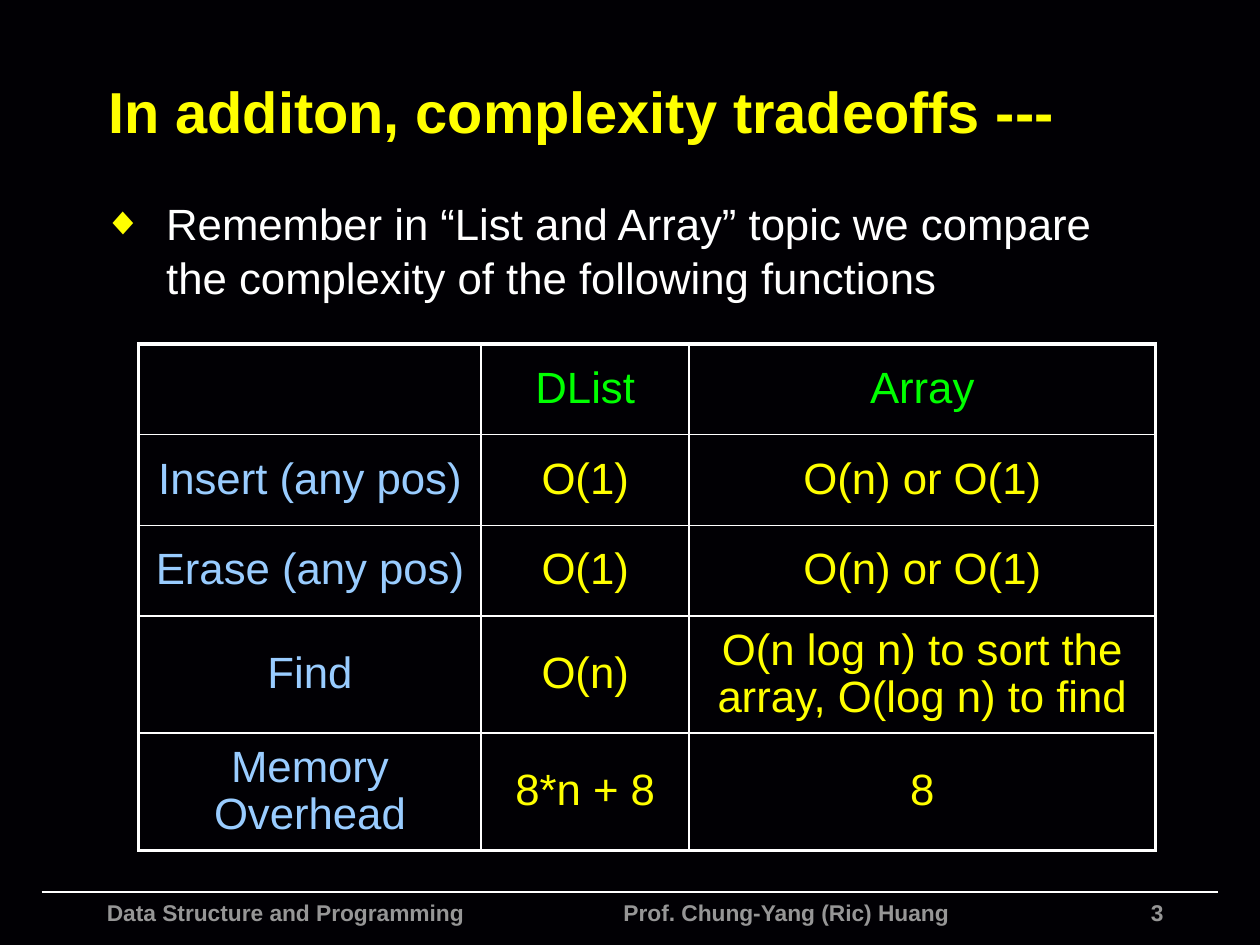
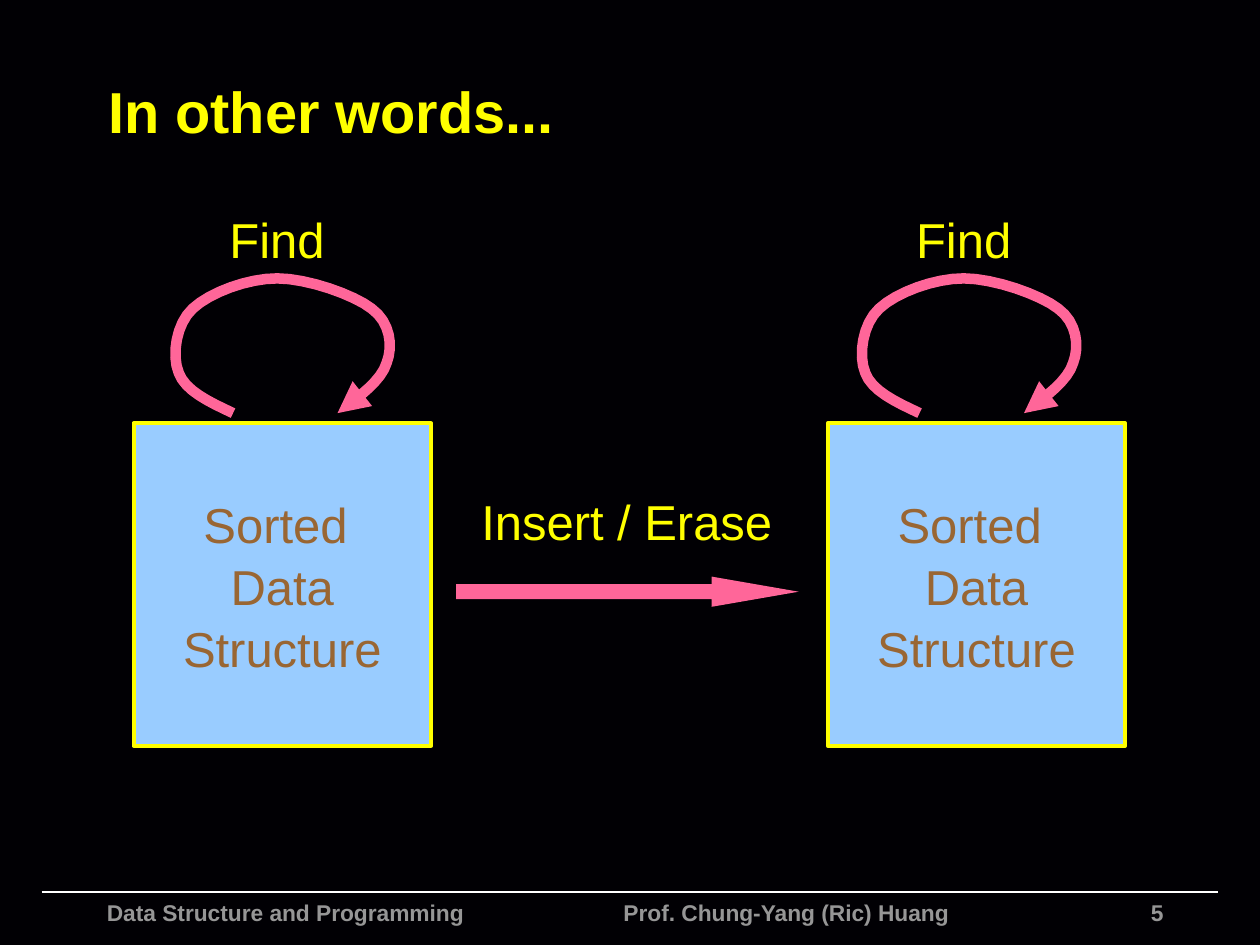
from dataclasses import dataclass
from typing import NamedTuple

from lxml.etree import SubElement
from pptx import Presentation
from pptx.dml.color import RGBColor
from pptx.enum.shapes import MSO_CONNECTOR as Connector, MSO_SHAPE as Preset
from pptx.enum.text import MSO_ANCHOR as Anchor, MSO_AUTO_SIZE as AutoSize, PP_ALIGN as Align
from pptx.oxml.ns import qn
from pptx.util import Pt


@dataclass(frozen=True)
class Theme:
    font: str = "Arial"
    background: str = "010004"
    white: str = "FFFFFF"
    yellow: str = "FFFF00"
    green: str = "00FF00"
    sky: str = "99CCFF"
    brown: str = "996633"
    pink: str = "FF6699"
    gray: str = "969696"
    title_size: float = 33
    diagram_size: float = 28
    body_size: float = 25
    footer_size: float = 13
    thin: float = 1
    thick: float = 2.25
    loop_width: float = 6


class Box(NamedTuple):
    left: float
    top: float
    width: float
    height: float

    def in_points(self) -> list:
        return [Pt(length) for length in self]


class FooterPart(NamedTuple):
    text: str
    box: Box
    align: Align


class State(NamedTuple):
    square: Box
    loop_left: float
    find_label: Box


THEME = Theme()
TITLE_BOX = Box(54.7, 26.6, 636.5, 72.7)
BODY_BOX = Box(51.8, 108, 612, 372.2)
FOOTER_TOP = 509.8
RULE_LEFT, RULE_RIGHT = 23.8, 696.2

TABLE_BOX = Box(79.2, 196.6, 581, 288.7)
COLUMN_WIDTHS = (195.8, 118.8, 266.4)
ROW_HEIGHTS = (51.8, 51.8, 51.8, 67, 67)
COMPLEXITIES = (
    ("", "DList", "Array"),
    ("Insert (any pos)", "O(1)", "O(n) or O(1)"),
    ("Erase (any pos)", "O(1)", "O(n) or O(1)"),
    ("Find", "O(n)", "O(n log n) to sort the array, O(log n) to find"),
    ("Memory Overhead", "8*n + 8", "8"),
)

LOOP_TOP = 159.1
LOOP_START = (35.3, 77)
LOOP_CURVES = (
    ((21.6, 70.6), (7.9, 64.1), (4.3, 54)),
    ((0, 43.9), (2.9, 25.9), (12.2, 17.3)),
    ((22.3, 7.9), (43.9, 0), (60.5, 0)),
    ((77.8, 0), (104.4, 9.4), (114.5, 17.3)),
    ((125.3, 25.2), (126.7, 38.9), (123.1, 48.2)),
    ((120.2, 58.3), (107.3, 67.7), (95, 77)),
)
CURVE_STEPS = 8
STATES = tuple(
    State(Box(square_left, 241.9, 170, 184.3), loop_left, Box(loop_left + 29.5, 114.5, 61.9, 41))
    for square_left, loop_left in ((76.3, 97.9), (473, 490.2))
)


def rgb(color: str) -> RGBColor:
    return RGBColor.from_string(color)


def write_text(frame, *lines: str, size: float, color: str, bold: bool = False,
               align: Align = Align.LEFT, anchor: Anchor = Anchor.TOP,
               inset: tuple = (7.2, 3.6), wrap: bool = True, spacing: float = 1) -> None:
    frame.word_wrap = wrap
    frame.auto_size = AutoSize.NONE
    frame.vertical_anchor = anchor
    frame.margin_left = frame.margin_right = Pt(inset[0])
    frame.margin_top = frame.margin_bottom = Pt(inset[1])
    for index, line in enumerate(lines):
        paragraph = frame.add_paragraph() if index else frame.paragraphs[0]
        paragraph.alignment = align
        paragraph.line_spacing = spacing
        paragraph.space_before = Pt(0)
        run = paragraph.add_run()
        run.text = line
        run.font.name = THEME.font
        run.font.size = Pt(size)
        run.font.bold = bold
        run.font.color.rgb = rgb(color)


def place(shape, box: Box) -> None:
    shape.left, shape.top, shape.width, shape.height = box.in_points()


def add_label(slide, box: Box, text: str, **text_format) -> None:
    label = slide.shapes.add_textbox(*box.in_points())
    write_text(label.text_frame, text, **text_format)


def add_footer(slide, number: int) -> None:
    rule = slide.shapes.add_connector(
        Connector.STRAIGHT, Pt(RULE_LEFT), Pt(FOOTER_TOP), Pt(RULE_RIGHT), Pt(FOOTER_TOP))
    rule.line.color.rgb = rgb(THEME.white)
    rule.line.width = Pt(THEME.thin)
    SubElement(rule._element.spPr, qn("a:effectLst"))
    parts = (
        FooterPart("Data Structure and Programming", Box(54, FOOTER_TOP, 260, 25), Align.LEFT),
        FooterPart("Prof. Chung-Yang (Ric) Huang", Box(349.2, FOOTER_TOP, 230, 25), Align.LEFT),
        FooterPart(str(number), Box(600, FOOTER_TOP, 72, 25), Align.RIGHT),
    )
    for part in parts:
        add_label(slide, part.box, part.text, size=THEME.footer_size,
                  color=THEME.gray, bold=True, align=part.align)


def add_slide(deck, layout_name: str, title: str, number: int):
    slide = deck.slides.add_slide(deck.slide_layouts.get_by_name(layout_name))
    place(slide.shapes.title, TITLE_BOX)
    write_text(slide.shapes.title.text_frame, title, size=THEME.title_size,
               color=THEME.yellow, bold=True, anchor=Anchor.MIDDLE)
    add_footer(slide, number)
    return slide


def add_diamond_bullet(paragraph) -> None:
    properties = paragraph._p.get_or_add_pPr()
    properties.set("marL", str(Pt(36)))
    properties.set("indent", str(Pt(-36)))
    bullet_color = SubElement(properties, qn("a:buClr"))
    SubElement(bullet_color, qn("a:srgbClr"), val=THEME.yellow)
    SubElement(properties, qn("a:buSzPct"), val="90000")
    SubElement(properties, qn("a:buFont"), typeface=THEME.font)
    SubElement(properties, qn("a:buChar"), char="◆")


def add_borders(cell, outer_sides: dict) -> None:
    properties = cell._tc.get_or_add_tcPr()
    for side, is_outer in outer_sides.items():
        width = THEME.thick if is_outer else THEME.thin
        border = SubElement(properties, qn(f"a:ln{side}"), w=str(Pt(width)))
        fill = SubElement(border, qn("a:solidFill"))
        SubElement(fill, qn("a:srgbClr"), val=THEME.white)


def add_complexity_table(slide) -> None:
    last_row, last_column = len(ROW_HEIGHTS) - 1, len(COLUMN_WIDTHS) - 1
    table = slide.shapes.add_table(
        last_row + 1, last_column + 1, *TABLE_BOX.in_points()).table
    table.first_row = table.horz_banding = False
    for column, width in zip(table.columns, COLUMN_WIDTHS):
        column.width = Pt(width)
    for row, height in zip(table.rows, ROW_HEIGHTS):
        row.height = Pt(height)
    for r, entries in enumerate(COMPLEXITIES):
        for c, entry in enumerate(entries):
            cell = table.cell(r, c)
            add_borders(cell, {"L": c == 0, "R": c == last_column,
                               "T": r == 0, "B": r == last_row})
            cell.fill.background()
            cell.vertical_anchor = Anchor.MIDDLE
            cell.margin_left = cell.margin_right = Pt(3.6)
            cell.margin_top = cell.margin_bottom = Pt(3.6)
            if entry:
                color = THEME.green if r == 0 else THEME.sky if c == 0 else THEME.yellow
                write_text(cell.text_frame, entry, size=THEME.body_size, color=color,
                           align=Align.CENTER, anchor=Anchor.MIDDLE,
                           inset=(3.6, 3.6), spacing=0.97)


def curve_points(start: tuple, curves: tuple) -> list:
    points = []
    for first, second, end in curves:
        for step in range(1, CURVE_STEPS + 1):
            t = step / CURVE_STEPS
            u = 1 - t
            points.append(tuple(
                u ** 3 * a + 3 * u * u * t * b + 3 * u * t * t * c + t ** 3 * d
                for a, b, c, d in zip(start, first, second, end)))
        start = end
    return points


def add_find_loop(slide, left: float) -> None:
    start, *rest = [(Pt(left + x), Pt(LOOP_TOP + y))
                    for x, y in [LOOP_START, *curve_points(LOOP_START, LOOP_CURVES)]]
    builder = slide.shapes.build_freeform(*start)
    builder.add_line_segments(rest, close=False)
    loop = builder.convert_to_shape()
    loop.shadow.inherit = False
    loop.fill.background()
    loop.line.color.rgb = rgb(THEME.pink)
    loop.line.width = Pt(THEME.loop_width)
    SubElement(loop.line._get_or_add_ln(), qn("a:tailEnd"), type="triangle")


def add_filled(slide, preset: Preset, box: Box, color: str):
    shape = slide.shapes.add_shape(preset, *box.in_points())
    shape.shadow.inherit = False
    shape.fill.solid()
    shape.fill.fore_color.rgb = rgb(color)
    shape.line.fill.background()
    return shape


def add_diagram_label(slide, box: Box, text: str) -> None:
    add_label(slide, box, text, size=THEME.diagram_size, color=THEME.yellow,
              align=Align.CENTER, inset=(3.6, 3.6), wrap=False, spacing=1.05)


def add_state(slide, state: State) -> None:
    square = add_filled(slide, Preset.RECTANGLE, state.square, THEME.sky)
    square.line.color.rgb = rgb(THEME.yellow)
    square.line.width = Pt(THEME.thick)
    write_text(square.text_frame, "Sorted ", "Data Structure", size=THEME.diagram_size,
               color=THEME.brown, align=Align.CENTER, anchor=Anchor.MIDDLE,
               inset=(3.6, 3.6), spacing=1.05)
    add_find_loop(slide, state.loop_left)
    add_diagram_label(slide, state.find_label, "Find")


def build_tradeoffs(deck) -> None:
    slide = add_slide(deck, "Title and Content", "In additon, complexity tradeoffs ---", 3)
    reminder = slide.placeholders[1]
    place(reminder, BODY_BOX)
    add_diamond_bullet(reminder.text_frame.paragraphs[0])
    write_text(reminder.text_frame,
               "Remember in “List and Array” topic we compare the complexity "
               "of the following functions",
               size=THEME.body_size, color=THEME.white, spacing=1.03)
    add_complexity_table(slide)


def build_other_words(deck) -> None:
    slide = add_slide(deck, "Title Only", "In other words...", 5)
    for state in STATES:
        add_state(slide, state)
    transition = add_filled(slide, Preset.RIGHT_ARROW, Box(260.6, 329.5, 195.8, 17.3), THEME.pink)
    transition.adjustments[0] = 0.5
    transition.adjustments[1] = 2.88
    add_diagram_label(slide, Box(271.4, 275.8, 173.5, 41), "Insert / Erase")


def main() -> None:
    deck = Presentation()
    deck.slide_width, deck.slide_height = Pt(720), Pt(540)
    backdrop = deck.slide_master.background.fill
    backdrop.solid()
    backdrop.fore_color.rgb = rgb(THEME.background)
    build_tradeoffs(deck)
    build_other_words(deck)
    deck.save("out.pptx")


if __name__ == "__main__":
    main()
